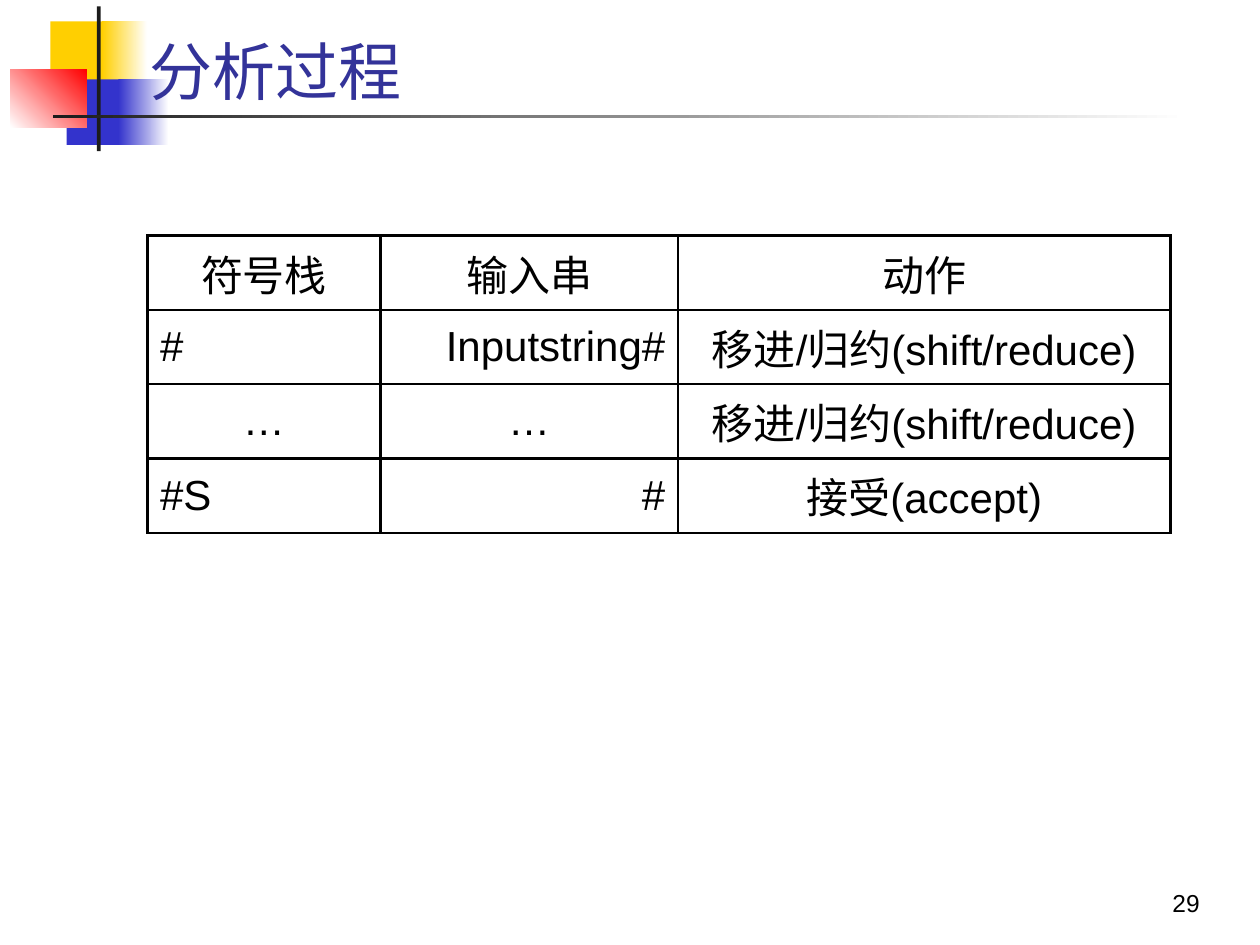
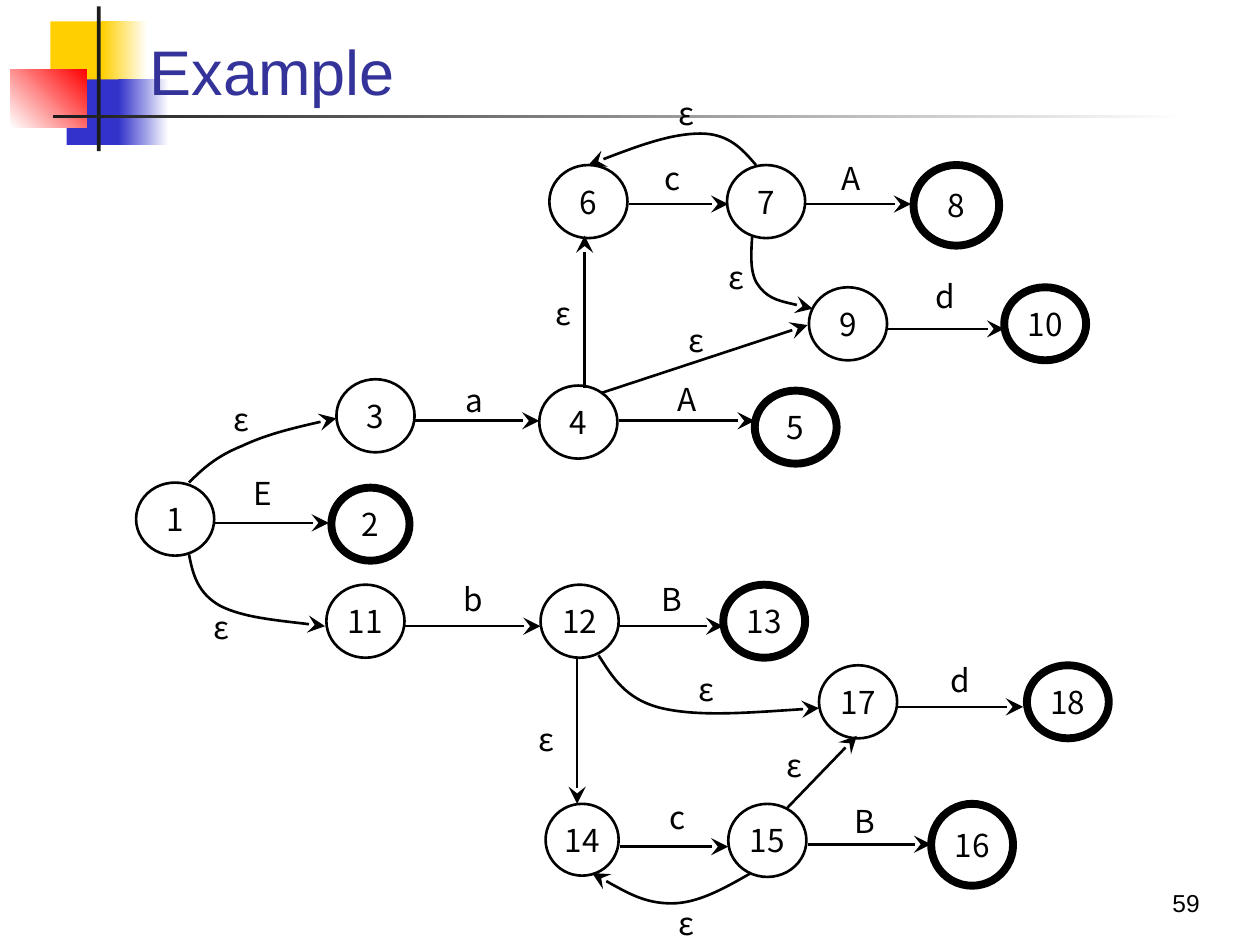
from lxml.etree import SubElement
from pptx import Presentation
from pptx.dml.color import RGBColor
from pptx.enum.shapes import MSO_CONNECTOR, MSO_SHAPE
from pptx.enum.text import MSO_ANCHOR, PP_ALIGN
from pptx.oxml import parse_xml
from pptx.oxml.ns import nsdecls, qn
from pptx.util import Inches, Pt

BLACK, WHITE, CHARCOAL = "000000", "FFFFFF", "1C1C1C"
YELLOW, BLUE, RED, INDIGO = "FFCF01", "3333CC", "FF0000", "333399"
LEFT, CENTER, RIGHT = PP_ALIGN.LEFT, PP_ALIGN.CENTER, PP_ALIGN.RIGHT
HEADING_FONT, DIAGRAM_FONT = "Arial", "Noto Sans CJK SC"
THIN, THICK = 1.5, 4.5

PARSE_HEADER = ["符号栈", "输入串", "动作"]
PARSE_STEPS = [
    ["#", "Inputstring#", "移进/归约(shift/reduce)"],
    ["…", "…", "移进/归约(shift/reduce)"],
    ["#S", "#", "接受(accept)"],
]
STEP_ALIGNS = [LEFT, RIGHT, CENTER]
COLUMN_WIDTHS = [1.85, 2.36, 3.91]
ROW_HEIGHT = 0.59

STATE_SIZE = (0.62, 0.58)
FINAL_SIZE = (0.65, 0.58)
STATES = {
    "6": (4.36, 1.31), "7": (5.77, 1.31), "9": (6.42, 2.28),
    "4": (4.28, 3.06), "3": (2.67, 3.01), "1": (1.08, 3.83),
    "11": (2.59, 4.64), "12": (4.29, 4.64), "14": (4.33, 6.38, 0.58, 0.57),
    "15": (5.78, 6.38), "17": (6.5, 5.28),
}
FINAL_STATES = {
    "8": (7.25, 1.31, 0.68, 0.64), "10": (7.97, 2.28), "5": (5.99, 3.1),
    "2": (2.63, 3.87, 0.62, 0.58), "13": (5.74, 4.64),
    "16": (7.39, 6.38, 0.65, 0.65), "18": (8.15, 5.28),
}
STRAIGHT_MOVES = [
    (1.7, 4.15, 2.61, 4.15), (3.28, 3.34, 4.28, 3.34),
    (4.91, 3.34, 5.99, 3.34), (3.2, 4.97, 4.29, 4.97),
    (4.9, 4.97, 5.74, 4.97), (7.12, 5.61, 8.12, 5.61),
    (6.41, 6.7, 7.39, 6.7), (4.99, 1.62, 5.78, 1.62),
    (6.4, 1.62, 7.23, 1.62), (4.64, 3.08, 4.64, 1.87),
    (4.58, 5.23, 4.58, 6.38), (7.05, 2.61, 7.97, 2.61),
    (4.92, 6.72, 5.78, 6.72), (4.77, 3.12, 6.41, 2.58),
    (6.25, 6.41, 6.8, 5.84),
]
CURVED_MOVES = [
    [(1.5, 3.83), (1.61, 3.72), (1.72, 3.62), (1.92, 3.54),
     (2.11, 3.45), (2.39, 3.38), (2.67, 3.32)],
    [(1.5, 4.4), (1.53, 4.56), (1.57, 4.71), (1.75, 4.81),
     (1.93, 4.9), (2.26, 4.93), (2.58, 4.97)],
    [(4.75, 5.2), (4.86, 5.37), (4.96, 5.55), (5.25, 5.62),
     (5.55, 5.69), (6.02, 5.65), (6.5, 5.62)],
    [(5.96, 6.93), (5.75, 7.05), (5.54, 7.17), (5.33, 7.17),
     (5.12, 7.17), (4.91, 7.05), (4.7, 6.93)],
    [(5.97, 1.88), (5.96, 2.03), (5.95, 2.19), (6.03, 2.28),
     (6.11, 2.38), (6.28, 2.41), (6.45, 2.45)],
    [(6, 1.31), (5.89, 1.18), (5.78, 1.06), (5.56, 1.06),
     (5.33, 1.06), (5, 1.18), (4.67, 1.31)],
]
LABEL_WIDTH = 0.67
MOVE_LABELS = {
    "ε": [(1.42, 4.72, 0.51), (5.11, 0.57, 0.65), (1.58, 3.06, 0.53),
          (4.14, 2.16, 0.65), (5.51, 1.95, 0.49), (5.19, 2.5, 0.39),
          (5.97, 5.86, 0.42), (4, 5.54, 0.65), (5.11, 7.08, 0.49),
          (5.27, 5.23, 0.47)],
    "a": [(3.43, 2.98, 0.38)],
    "A": [(5.12, 2.97, 0.39), (6.42, 1.18, 0.46)],
    "E": [(1.75, 3.59, 0.65)],
    "b": [(3.42, 4.53, 0.44)],
    "B": [(5, 4.53, 0.44), (6.53, 6.19, 0.65)],
    "c": [(5, 1.18, 0.46), (5.04, 6.25, 0.47)],
    "d": [(7.29, 5.16, 0.47), (7.17, 2.11, 0.47)],
}


def rgb(color):
    return RGBColor.from_string(color)


def inches(*lengths):
    return [Inches(length) for length in lengths]


class Deck:
    """Builds slides that share one heading style and corner ornament."""

    def __init__(self):
        self.prs = Presentation()
        self.prs.slide_width, self.prs.slide_height = inches(10, 7.5)
        self.shapes = None

    def start_slide(self, title, number):
        self.shapes = self.prs.slides.add_slide(self.prs.slide_layouts[6]).shapes
        self.block(0.4, 0.17, 0.48, 0.52, YELLOW)
        self.block(0.81, 0.17, 0.36, 0.52, YELLOW, WHITE)
        self.block(0.53, 0.63, 0.46, 0.52, BLUE)
        self.block(0.94, 0.63, 0.4, 0.52, BLUE, WHITE)
        self.block(0.08, 0.55, 0.61, 0.46, WHITE, RED, 45)
        self.block(0.77, 0.05, 0.03, 1.15, CHARCOAL)
        self.block(0.42, 0.91, 9, 0.03, CHARCOAL, WHITE)
        heading = self.text(title, 1.09, 0.23, 8.67, 0.68, 36, color=INDIGO)
        heading.line_spacing = 0.85
        self.text(number, 7.54, 6.83, 2.08, 0.5, 14, RIGHT)

    def block(self, left, top, width, height, color, fade_to=None, angle=0):
        block = self.shapes.add_shape(
            MSO_SHAPE.RECTANGLE, *inches(left, top, width, height))
        block.shadow.inherit = False
        block.line.fill.background()
        if fade_to:
            block.fill.gradient()
            block.fill.gradient_angle = angle
            for stop, shade in zip(block.fill.gradient_stops, (color, fade_to)):
                stop.color.rgb = rgb(shade)
        else:
            block.fill.solid()
            block.fill.fore_color.rgb = rgb(color)

    def set_text(self, frame, text, size, align, font=HEADING_FONT, color=BLACK):
        paragraph = frame.paragraphs[0]
        paragraph.text = text
        paragraph.alignment = align
        paragraph.font.name = font
        paragraph.font.size = Pt(size)
        paragraph.font.color.rgb = rgb(color)
        return paragraph

    def text(self, text, left, top, width, height, size, align=LEFT,
             font=HEADING_FONT, color=BLACK, anchor=MSO_ANCHOR.BOTTOM, wrap=True):
        frame = self.shapes.add_textbox(
            *inches(left, top, width, height)).text_frame
        frame.word_wrap = wrap
        frame.vertical_anchor = anchor
        return self.set_text(frame, text, size, align, font, color)

    def move_label(self, symbol, left, top, height):
        self.text(symbol, left, top, LABEL_WIDTH, height, 18, CENTER,
                  DIAGRAM_FONT, anchor=MSO_ANCHOR.MIDDLE, wrap=False)

    def state(self, name, left, top, width, height, weight):
        circle = self.shapes.add_shape(
            MSO_SHAPE.OVAL, *inches(left, top, width, height))
        circle.shadow.inherit = False
        circle.fill.background()
        self.outline(circle, weight)
        frame = circle.text_frame
        frame.margin_left = frame.margin_right = 0
        frame.margin_top = frame.margin_bottom = 0
        frame.vertical_anchor = MSO_ANCHOR.MIDDLE
        self.set_text(frame, name, 18, CENTER, DIAGRAM_FONT)

    def outline(self, shape, weight):
        shape.line.color.rgb = rgb(BLACK)
        shape.line.width = Pt(weight)

    def arrowhead(self, shape):
        self.outline(shape, THIN)
        SubElement(shape._element.spPr.find(qn("a:ln")), qn("a:tailEnd"),
                   type="stealth", w="lg", len="lg")

    def straight_move(self, x1, y1, x2, y2):
        arrow = self.shapes.add_connector(
            MSO_CONNECTOR.STRAIGHT, *inches(x1, y1, x2, y2))
        self.arrowhead(arrow)
        SubElement(arrow._element.spPr, qn("a:effectLst"))

    def curved_move(self, points):
        start, *controls = [inches(*point) for point in points]
        builder = self.shapes.build_freeform(*start)
        builder.add_line_segments(controls, close=False)
        arrow = builder.convert_to_shape()
        outline = arrow._element.spPr.find(".//" + qn("a:path"))
        segments = outline.findall(qn("a:lnTo"))
        for first in range(0, len(segments), 3):
            curve = SubElement(outline, qn("a:cubicBezTo"))
            for segment in segments[first:first + 3]:
                curve.append(segment[0])
                outline.remove(segment)
        arrow.shadow.inherit = False
        arrow.fill.background()
        self.arrowhead(arrow)

    def table(self, left, top, widths, row_height, header, rows, aligns):
        lines = [header] + rows
        table = self.shapes.add_table(
            len(lines), len(widths),
            *inches(left, top, sum(widths), row_height * len(lines))).table
        table.first_row = table.horz_banding = False
        for column, width in zip(table.columns, widths):
            column.width = Inches(width)
        for row, texts in zip(table.rows, lines):
            row.height = Inches(row_height)
            for cell, text, align in zip(row.cells, texts, aligns):
                centred = texts is header or text == "…"
                cell.vertical_anchor = MSO_ANCHOR.MIDDLE
                self.set_text(cell.text_frame, text, 24,
                              CENTER if centred else align)
                cell.fill.background()
                self.cell_borders(cell)

    def cell_borders(self, cell):
        for place, side in enumerate(("lnL", "lnR", "lnT", "lnB")):
            cell._tc.get_or_add_tcPr().insert(place, parse_xml(
                f'<a:{side} {nsdecls("a")} w="{Pt(THIN)}"><a:solidFill>'
                f'<a:srgbClr val="{BLACK}"/></a:solidFill></a:{side}>'))


def main():
    deck = Deck()
    deck.start_slide("分析过程", "29")
    deck.table(1.17, 1.87, COLUMN_WIDTHS, ROW_HEIGHT,
               PARSE_HEADER, PARSE_STEPS, STEP_ALIGNS)

    deck.start_slide("Example", "59")
    for states, default_size, weight in ((STATES, STATE_SIZE, THIN),
                                         (FINAL_STATES, FINAL_SIZE, THICK)):
        for name, (left, top, *size) in states.items():
            deck.state(name, left, top, *(size or default_size), weight)
    for points in CURVED_MOVES:
        deck.curved_move(points)
    for ends in STRAIGHT_MOVES:
        deck.straight_move(*ends)
    for symbol, places in MOVE_LABELS.items():
        for place in places:
            deck.move_label(symbol, *place)
    deck.prs.save("out.pptx")


if __name__ == "__main__":
    main()
